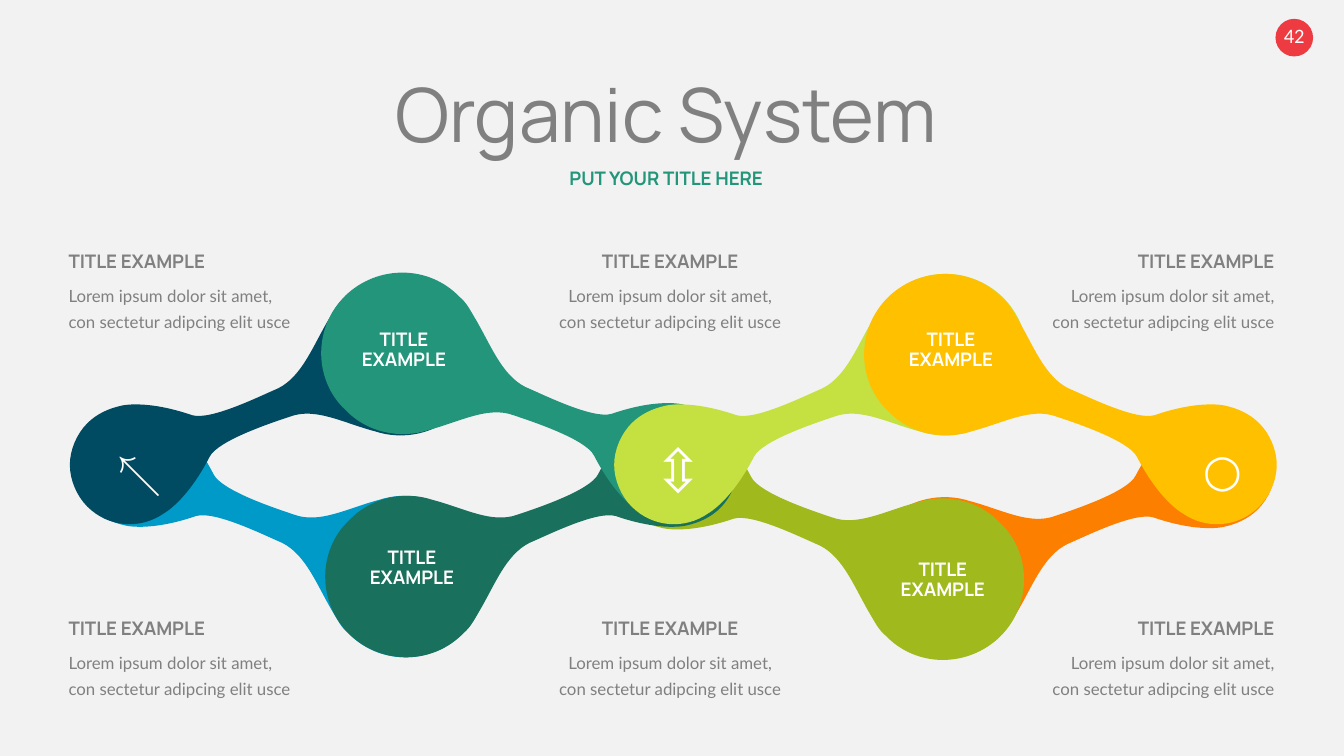
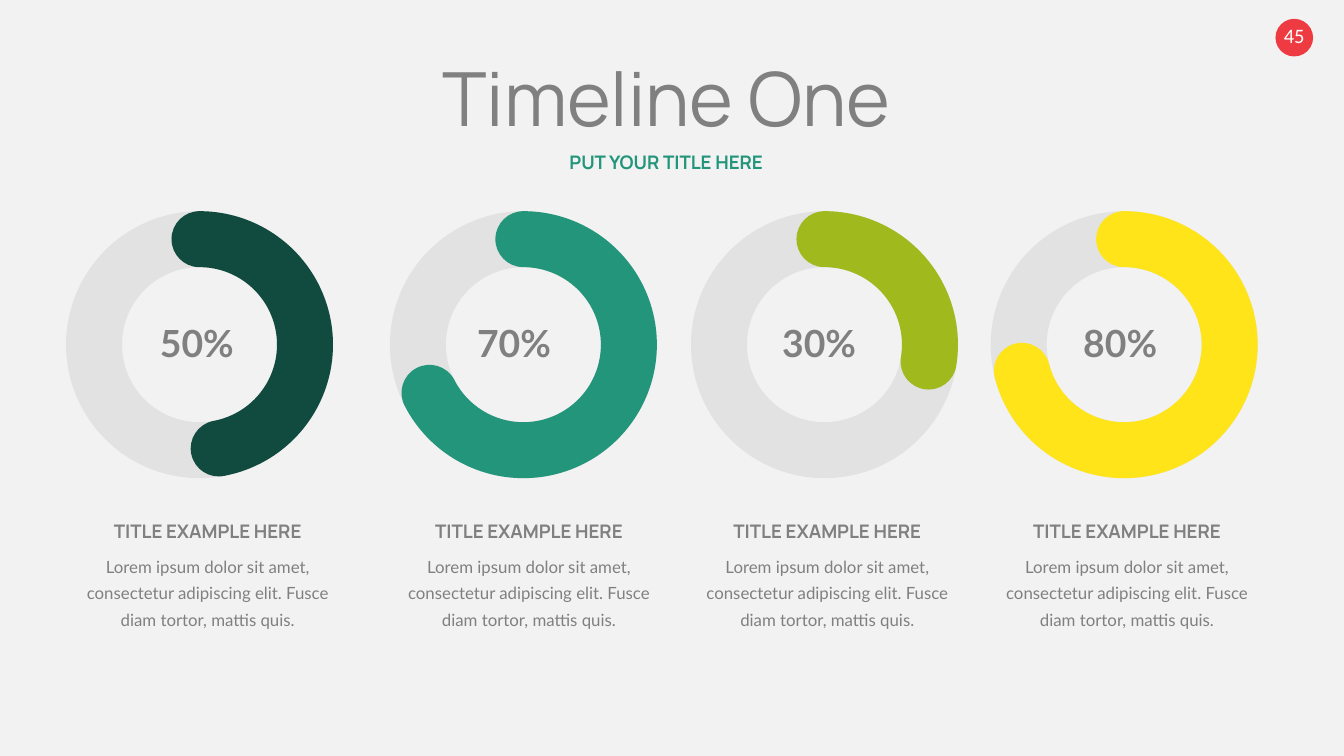
"""Builds two infographic slides: an organic system and a ring timeline."""
from dataclasses import dataclass

from lxml import etree
from pptx import Presentation
from pptx import slide as sl
from pptx import util as u
from pptx.dml import color
from pptx.enum import shapes, text
from pptx.oxml import ns
from pptx.shapes import base

PAPER, GREY, WHITE = "F2F2F2", "808080", "FFFFFF"
RED, GREEN, RING_GREY = "EE3B42", "22957B", "BFBFBF"
LEFT, CENTER, RIGHT = text.PP_ALIGN.LEFT, text.PP_ALIGN.CENTER, text.PP_ALIGN.RIGHT
TOP, MIDDLE = text.MSO_ANCHOR.TOP, text.MSO_ANCHOR.MIDDLE


@dataclass(frozen=True)
class Style:
    """Format of a one-paragraph text box."""
    size: float
    font: str
    hue: str = GREY
    bold: bool = False
    spacing: float | u.Length = 1.0
    before: float = 0
    insets: tuple[float, float, float, float] = (0.1, 0.05, 0.1, 0.05)
    anchor: text.MSO_ANCHOR = TOP


@dataclass(frozen=True)
class Blob:
    """Connected pair of bulbs, placed by the tip of the small one."""
    hue: str
    tip_x: float
    tip_y: float
    across: int
    down: int


@dataclass(frozen=True)
class Ring:
    """Progress ring with its label and caption positions."""
    label: str
    hue: str
    left: float
    label_left: float
    caption_left: float
    end: float


TITLE = Style(40, "Manrope", spacing=0.9, before=10, insets=(0, 0.05, 0.1, 0.05))
SUBTITLE = Style(10, "Manrope", GREEN, True, 0.9, 10, (0, 0.05, 0.1, 0.05))
BADGE = Style(11, "Calibri", WHITE, anchor=MIDDLE)
HEADING = Style(10, "Manrope", GREY, True, 0.9, 7.5, (0, 0.08, 0, 0.08))
BODY = Style(9, "Lato", spacing=u.Pt(14), before=7.5, insets=(0, 0, 0, 0))
BULB = Style(10, "Manrope", WHITE, True, 0.9, 7.5, (0.1, 0.08, 0.1, 0.08), MIDDLE)
SMALL_ICON = Style(24, "Roboto", WHITE, spacing=1.5, insets=(0.08,) * 4, anchor=MIDDLE)
LARGE_ICON = Style(32, "Roboto", WHITE, spacing=1.5, insets=(0.08,) * 4, anchor=MIDDLE)
PERCENT = Style(20, "Lato", bold=True, before=4)

BLOB_CURVES = (
    (0, -0.11), (0.05, -0.23), (0.13, -0.31),
    (0.29, -0.47), (0.53, -0.48), (0.7, -0.36),
    (0.7, -0.36), (0.87, -0.27), (1.04, 0.06),
    (1.1, 0.18), (1.49, 0.31), (1.64, 0.36),
    (1.83, 0.43), (2.04, 0.31), (2.27, 0.25),
    (2.48, 0.18), (2.73, 0.23), (2.89, 0.4),
    (3.01, 0.51), (3.07, 0.67), (3.07, 0.82),
    (3.07, 0.98), (3.01, 1.13), (2.89, 1.25),
    (2.65, 1.48), (2.27, 1.48), (2.04, 1.24),
    (1.99, 1.2), (1.96, 1.14), (1.93, 1.09),
    (1.81, 0.89), (1.73, 0.66), (1.55, 0.57),
    (1.41, 0.51), (1.05, 0.33), (0.91, 0.37),
    (0.56, 0.49), (0.38, 0.44), (0.38, 0.44),
    (0.29, 0.42), (0.2, 0.38), (0.13, 0.31),
    (0.05, 0.23), (0, 0.11), (0, 0),
)
BLOBS = (
    Blob("009AC9", 0.55, 3.47, 1, 1),
    Blob("FD7F00", 9.49, 3.48, -1, 1),
    Blob("A0BA1E", 4.55, 3.49, 1, 1),
    Blob("19705C", 5.49, 3.47, -1, 1),
    Blob("004B62", 0.52, 3.46, 1, -1),
    Blob(GREEN, 5.46, 3.45, -1, -1),
    Blob("C5E041", 4.57, 3.46, 1, -1),
    Blob("FFC000", 9.5, 3.46, -1, -1),
)
RINGS = (
    Ring("50%", "114A3E", 0.7, 1.07, 0.61, 47.71),
    Ring("70%", GREEN, 3.11, 3.43, 3, 91.71),
    Ring("30%", "A0BA1E", 5.35, 5.7, 5.22, 5.52),
    Ring("80%", "FEE419", 7.58, 7.94, 7.45, 99.4),
)


def rgb(hue: str) -> color.RGBColor:
    """Turn a hex string into a colour."""
    return color.RGBColor.from_string(hue)


def assign(target: object, values: dict[str, object]) -> None:
    """Set each named attribute on the target."""
    for name, value in values.items():
        setattr(target, name, value)


def paint(shape: base.BaseShape, hue: str) -> None:
    """Fill a shape flatly, without outline or shadow."""
    shape.shadow.inherit = False
    shape.fill.solid()
    shape.fill.fore_color.rgb = rgb(hue)
    shape.line.fill.background()


def write(page: sl.Slide, words: str, at: tuple[float, float, float, float],
          style: Style, align: text.PP_ALIGN = CENTER) -> None:
    """Add a text box with one styled paragraph."""
    box = page.shapes.add_textbox(*map(u.Inches, at))
    left, top, right, bottom = map(u.Inches, style.insets)
    assign(box.text_frame, {
        "word_wrap": True, "vertical_anchor": style.anchor, "margin_left": left,
        "margin_top": top, "margin_right": right, "margin_bottom": bottom})
    para = box.text_frame.paragraphs[0]
    assign(para, {"alignment": align, "line_spacing": style.spacing,
                  "space_before": u.Pt(style.before)})
    span = para.add_run()
    span.text = words
    assign(span.font, {"size": u.Pt(style.size), "name": style.font, "bold": style.bold})
    span.font.color.rgb = rgb(style.hue)


def caption(page: sl.Slide, heading: str, body: str, at: tuple[float, float],
            width: float, height: float, drop: float, align: text.PP_ALIGN) -> None:
    """Write a heading with body text below it."""
    left, top = at
    write(page, heading, (left, top, width, 0.33), HEADING, align)
    write(page, body, (left, top + drop, width, height), BODY, align)


def add_page(deck: Presentation, number: str, title: str, top: float) -> sl.Slide:
    """Add a blank slide with its number badge, title and subtitle."""
    page = deck.slides.add_slide(deck.slide_layouts[6])
    badge = page.shapes.add_shape(
        shapes.MSO_SHAPE.ROUNDED_RECTANGLE, *map(u.Inches, (9.49, 0.14, 0.28, 0.28)))
    badge.adjustments[0] = 0.5
    paint(badge, RED)
    write(page, number, (9.33, 0.11, 0.6, 0.3), BADGE)
    write(page, title, (2.73, top, 4.55, 0.63), TITLE)
    write(page, "PUT YOUR TITLE HERE", (2.73, top + 0.68, 4.55, 0.24), SUBTITLE)
    return page


def add_blob(page: sl.Slide, blob: Blob) -> None:
    """Draw the mirrored blob outline and turn its segments into curves."""
    points = [(u.Inches(blob.tip_x + blob.across * x), u.Inches(blob.tip_y + blob.down * y))
              for x, y in BLOB_CURVES]
    builder = page.shapes.build_freeform(u.Inches(blob.tip_x), u.Inches(blob.tip_y))
    builder.add_line_segments(points, close=True)
    shape = builder.convert_to_shape()
    paint(shape, blob.hue)
    segments = list(shape._element.iter(ns.qn("a:lnTo")))
    for start in range(0, len(segments), 3):
        curve = etree.Element(ns.qn("a:cubicBezTo"))
        segments[start].addprevious(curve)
        for segment in segments[start:start + 3]:
            curve.append(segment[0])
            segment.getparent().remove(segment)


def add_band(page: sl.Slide, kind: shapes.MSO_SHAPE, left: float, hue: str) -> base.BaseShape:
    """Draw an unfilled round shape with a thick line."""
    band = page.shapes.add_shape(kind, *map(u.Inches, (left, 1.78, 1.57, 1.57)))
    band.shadow.inherit = False
    band.fill.background()
    band.line.width = u.Pt(30)
    band.line.color.rgb = rgb(hue)
    return band


def add_ring(page: sl.Slide, ring: Ring) -> None:
    """Draw a pale track, a round-capped progress arc and the percentage."""
    write(page, ring.label, (ring.label_left, 2.33, 0.79, 0.51), PERCENT)
    track = add_band(page, shapes.MSO_SHAPE.OVAL, ring.left, RING_GREY)
    tint = next(track.line._ln.iter(ns.qn("a:srgbClr")))
    etree.SubElement(tint, ns.qn("a:alpha"), val="30000")
    arc = add_band(page, shapes.MSO_SHAPE.ARC, ring.left, ring.hue)
    arc.adjustments[0] = 162
    arc.adjustments[1] = ring.end
    arc.line._ln.set("cap", "rnd")


def build_organic_system(deck: Presentation) -> None:
    """Build the slide of linked blobs."""
    page = add_page(deck, "42", "Organic System", 0.53)
    for blob in BLOBS:
        add_blob(page, blob)
    write(page, "↖", (0.79, 3.2, 0.37, 0.41), SMALL_ICON)
    write(page, "⇳", (4.75, 3.03, 0.59, 0.65), LARGE_ICON)
    write(page, "○", (8.87, 3.18, 0.37, 0.41), SMALL_ICON)
    for left, top in ((2.5, 2.32), (6.57, 2.32), (2.56, 3.94), (6.51, 4.03)):
        write(page, "TITLE EXAMPLE", (left, top, 1.01, 0.58), BULB)
    for left, align in ((0.51, LEFT), (7.77, RIGHT), (4.13, CENTER)):
        for top in (1.8, 4.53):
            caption(page, "TITLE EXAMPLE",
                    "Lorem ipsum dolor sit amet, con sectetur adipcing elit usce",
                    (left, top), 1.71, 0.39, 0.28, align)


def build_timeline(deck: Presentation) -> None:
    """Build the slide of progress rings."""
    page = add_page(deck, "45", "Timeline One", 0.41)
    for ring in RINGS:
        add_ring(page, ring)
        caption(page, "TITLE EXAMPLE HERE",
                "Lorem ipsum dolor sit amet, consectetur adipiscing elit. "
                "Fusce diam tortor, mattis quis.",
                (ring.caption_left, 3.81), 1.87, 0.62, 0.29, CENTER)


def main() -> None:
    """Build and save the deck."""
    deck = Presentation()
    width = u.Inches(10)
    assign(deck, {"slide_width": width, "slide_height": width * 9 // 16})
    backdrop = deck.slide_master.background.fill
    backdrop.solid()
    backdrop.fore_color.rgb = rgb(PAPER)
    build_organic_system(deck)
    build_timeline(deck)
    deck.save("out.pptx")


if __name__ == "__main__":
    main()
